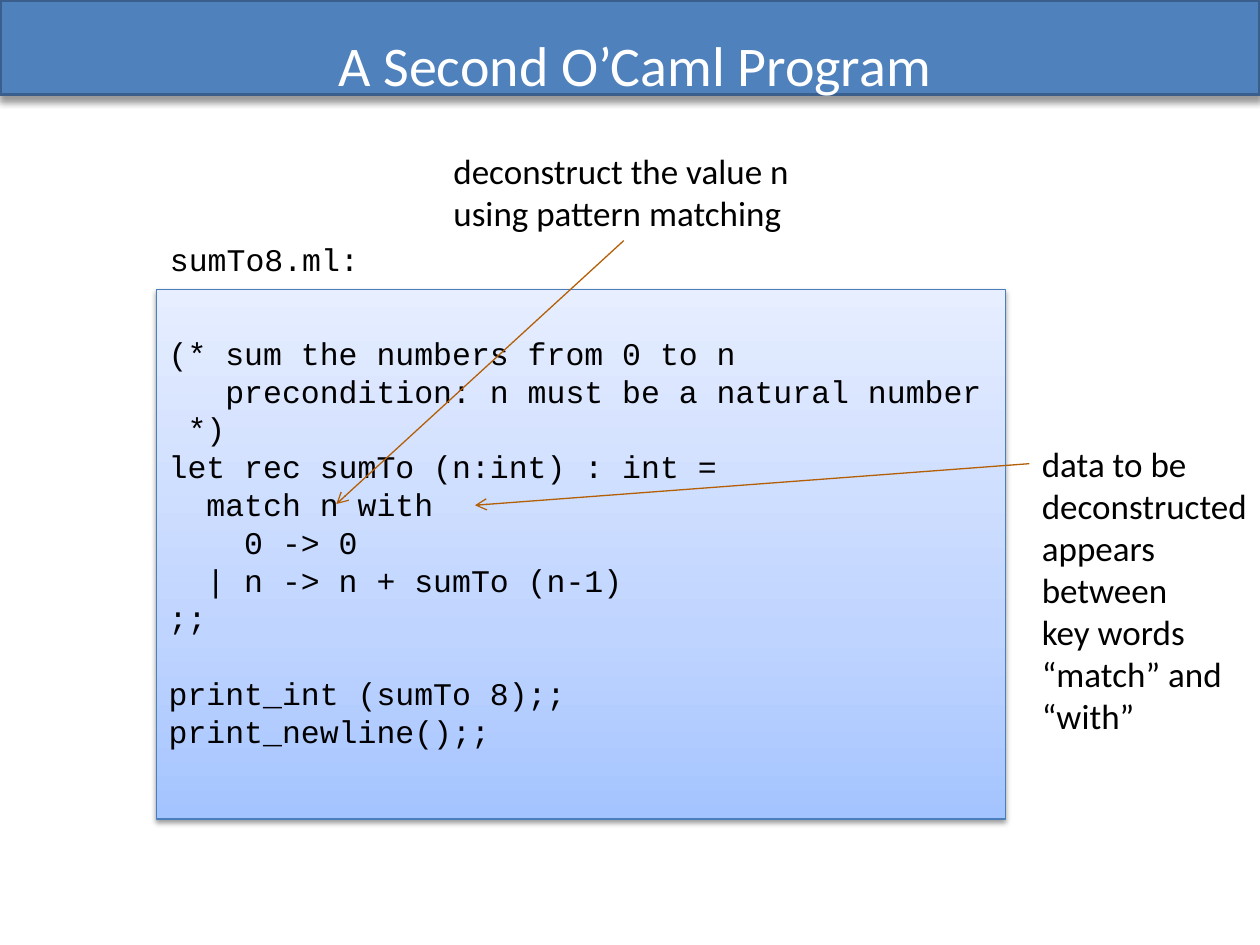
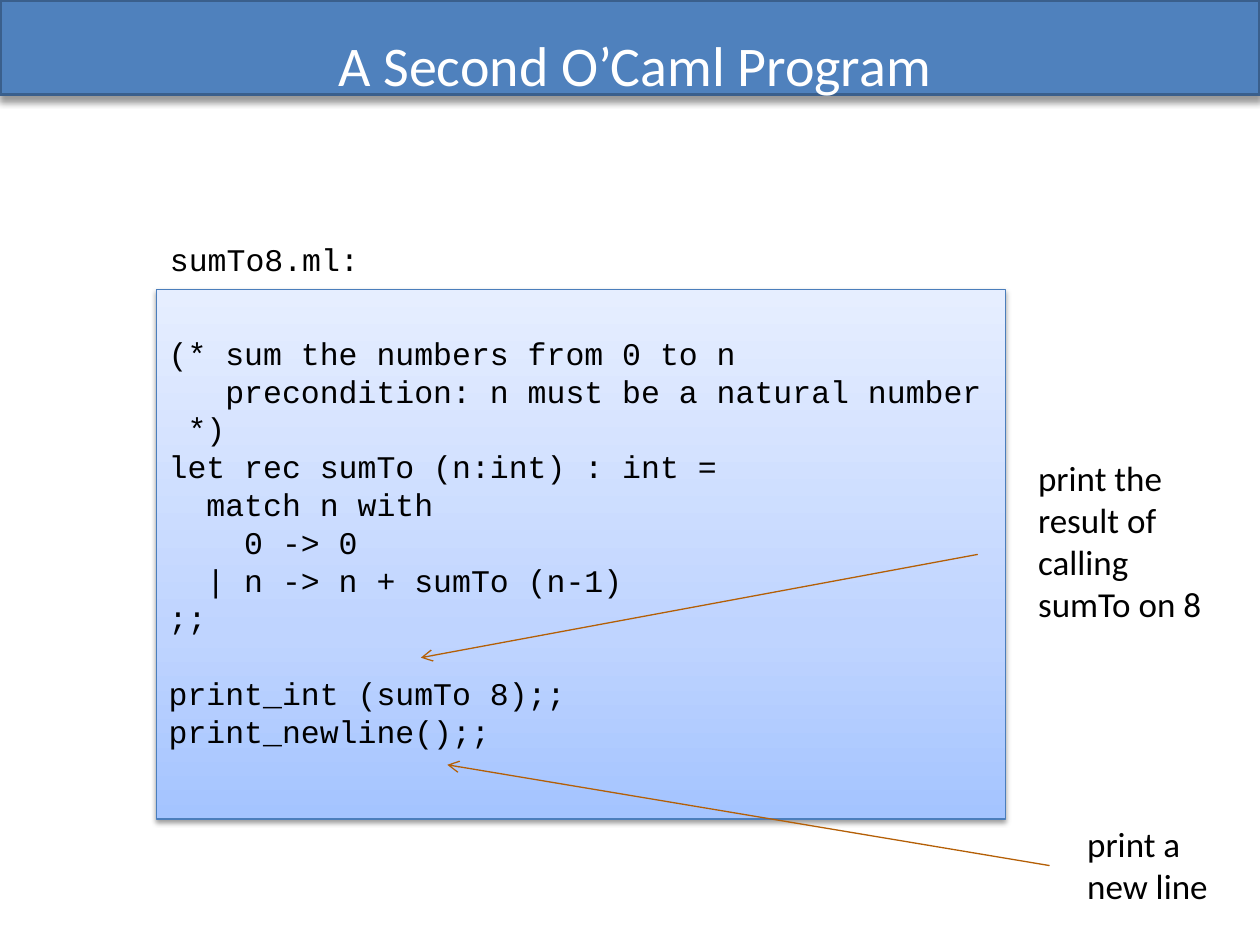
from copy import deepcopy

from pptx import Presentation
from pptx.dml.color import RGBColor
from pptx.enum.shapes import MSO_CONNECTOR, MSO_SHAPE
from pptx.enum.text import MSO_ANCHOR, MSO_AUTO_SIZE, PP_ALIGN
from pptx.oxml.ns import qn
from pptx.util import Inches, Pt
from lxml.etree import SubElement

WIDTH, HEIGHT = Inches(10), Inches(7.5)
CELL = WIDTH / 10  # square grid: 10 columns by 7.5 rows

BAND, BAND_EDGE = "4F81BD", "3A5F8C"
CODE_EDGE = "4B7EBC"
CODE_GRADIENT = [(0, "A4C4FF"), (0.35, "BFD4FF"), (1, "E6EEFF")]
ARROW, INK, WHITE = "B45F06", "000000", "FFFFFF"
BODY_FONT, CODE_FONT = "Calibri", "Courier New"
CODE_SIZE, CODE_PITCH = 18, Pt(21.6)

TITLE = "A Second O’Caml Program"
FILE_NAME = "sumTo8.ml:"
CODE = """(* sum the numbers from 0 to n
   precondition: n must be a natural number
 *)
let rec sumTo (n:int) : int =
  match n with
    0 -> 0
  | n -> n + sumTo (n-1)
;;"""
CALLS = """print_int (sumTo 8);;
print_newline();;"""

# Each note: text, its box, and its arrow from start to tip.
PAGES = [
    [
        ("deconstruct the value n\nusing pattern matching",
         (3.5, 1.14, 2.89, 0.77), ((4.95, 1.91), (2.67, 4))),
        ("data to be\ndeconstructed\nappears\nbetween\nkey words\n“match” and\n“with”",
         (8.17, 3.46, 1.85, 2.46), ((8.17, 3.68), (3.77, 4.01))),
    ],
    [
        ("print the\nresult of\ncalling\nsumTo on 8",
         (8.14, 3.57, 1.51, 1.78), ((7.76, 4.4), (3.34, 5.22))),
        ("print a\nnew line",
         (8.53, 6.48, 1.17, 0.77), ((8.33, 6.87), (3.55, 6.07))),
    ],
]


def color(value):
    return RGBColor.from_string(value)


def grid(*cells):
    return [round(cell * CELL) for cell in cells]


def set_line(shape, value, points):
    shape.line.color.rgb = color(value)
    shape.line.width = Pt(points)


def add_shadow(shape, opacity, blur, distance):
    """Drop a black shadow straight down; lengths are points."""
    shape.shadow.inherit = False
    effects = shape.element.spPr.find(qn("a:effectLst"))
    shadow = SubElement(effects, qn("a:outerShdw"), blurRad=str(Pt(blur)),
                        dist=str(Pt(distance)), dir="5400000", rotWithShape="0")
    black = SubElement(shadow, qn("a:srgbClr"), val=INK)
    SubElement(black, qn("a:alpha"), val=str(opacity * 1000))


def fill_gradient(shape, stops):
    shape.fill.gradient()
    shape.fill.gradient_angle = 90
    stop_list = shape.element.spPr.find(".//" + qn("a:gsLst"))
    while len(stop_list) < len(stops):
        stop_list.append(deepcopy(stop_list[0]))
    for stop, (position, value) in zip(shape.fill.gradient_stops, stops):
        stop.position = position
        stop.color.rgb = color(value)


def write_lines(frame, text, font, size, value=INK, align=PP_ALIGN.LEFT):
    """Write one paragraph for each line of text."""
    frame.text = text
    for para in frame.paragraphs:
        para.alignment = align
        para.font.name = font
        para.font.size = Pt(size)
        para.font.color.rgb = color(value)


def add_band(page):
    """Draw the title band on the layout that all pages share."""
    band = page.shapes.add_shape(MSO_SHAPE.RECTANGLE, *grid(0, 0, 10, 0.75))
    band.fill.solid()
    band.fill.fore_color.rgb = color(BAND)
    set_line(band, BAND_EDGE, 2)
    add_shadow(band, 40, 4, 3)
    page.slide_layout.shapes.element.insert(2, band.element)


def set_title(page, text):
    title = page.shapes.title
    title.left, title.top, title.width, title.height = grid(0.54, -0.12, 9, 1.25)
    title.text_frame.vertical_anchor = MSO_ANCHOR.MIDDLE
    write_lines(title.text_frame, text, BODY_FONT, 32, WHITE, PP_ALIGN.CENTER)


def add_code(page):
    box = page.shapes.add_shape(MSO_SHAPE.RECTANGLE, *grid(1.24, 2.3, 6.74, 4.2))
    fill_gradient(box, CODE_GRADIENT)
    set_line(box, CODE_EDGE, 0.75)
    add_shadow(box, 38, 3.1, 1.6)
    frame = box.text_frame
    frame.word_wrap = True
    frame.vertical_anchor = MSO_ANCHOR.TOP
    frame.margin_top = Inches(0.35)
    write_lines(frame, CODE + "\n" + CALLS, CODE_FONT, CODE_SIZE)
    for para in frame.paragraphs:
        para.line_spacing = CODE_PITCH
    first_call = len(CODE.splitlines())
    frame.paragraphs[first_call].space_before = CODE_PITCH


def add_label(page, text, area, font, size):
    label = page.shapes.add_textbox(*grid(*area))
    label.text_frame.word_wrap = False
    label.text_frame.auto_size = MSO_AUTO_SIZE.SHAPE_TO_FIT_TEXT
    write_lines(label.text_frame, text, font, size)


def add_arrow(page, start, tip):
    arrow = page.shapes.add_connector(MSO_CONNECTOR.STRAIGHT, *grid(*start, *tip))
    set_line(arrow, ARROW, 0.75)
    SubElement(arrow.line._get_or_add_ln(), qn("a:tailEnd"), type="arrow")
    SubElement(arrow.element.spPr, qn("a:effectLst"))


def main():
    deck = Presentation()
    deck.slide_width, deck.slide_height = WIDTH, HEIGHT
    title_only = deck.slide_layouts.get_by_name("Title Only")
    for notes in PAGES:
        page = deck.slides.add_slide(title_only)
        set_title(page, TITLE)
        add_code(page)
        for text, area, (start, tip) in notes:
            add_arrow(page, start, tip)
            add_label(page, text, area, BODY_FONT, 20)
        add_label(page, FILE_NAME, (1.25, 1.86, 1.71, 0.4), CODE_FONT, CODE_SIZE)
    add_band(deck.slides[0])
    deck.save("out.pptx")


if __name__ == "__main__":
    main()
